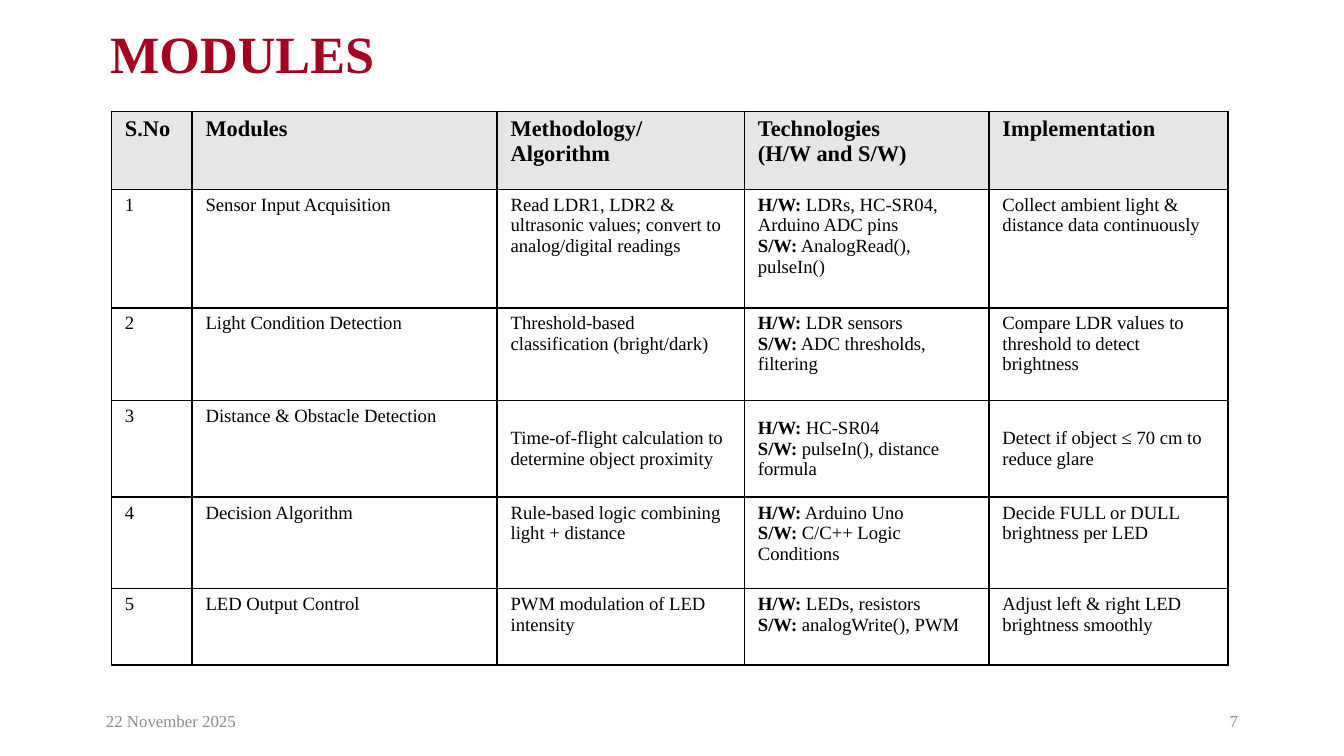
from dataclasses import dataclass

from lxml import etree
from pptx import Presentation
from pptx.dml.color import RGBColor
from pptx.enum import text
from pptx.oxml import ns
from pptx.util import Inches, Pt

FONT = "Times New Roman"
COLORS = {"title": "A50021", "ink": "000000", "footer": "8C8C8C", "header": "E7E6E6"}
COLUMN_WIDTHS = [0.6, 2.27, 1.84, 1.82, 1.78]
ROW_HEIGHTS = [0.58, 0.88, 0.69, 0.72, 0.68, 0.57]
HEADERS = ["S.No", "Modules", "Methodology/\nAlgorithm",
           "Technologies\n(H/W and S/W)", "Implementation"]


@dataclass
class Module:
    name: str
    method: str
    hardware: str
    software: str
    implementation: str
    centered: bool = False


MODULES = [
    Module("Sensor Input Acquisition",
           "Read LDR1, LDR2 & ultrasonic values; convert to analog/digital readings",
           "LDRs, HC-SR04, Arduino ADC pins", "AnalogRead(), pulseIn()",
           "Collect ambient light & distance data continuously"),
    Module("Light Condition Detection", "Threshold-based classification (bright/dark)",
           "LDR sensors", "ADC thresholds, filtering",
           "Compare LDR values to threshold to detect brightness"),
    Module("Distance & Obstacle Detection",
           "Time-of-flight calculation to determine object proximity",
           "HC-SR04", "pulseIn(), distance formula",
           "Detect if object ≤ 70 cm to reduce glare", centered=True),
    Module("Decision Algorithm", "Rule-based logic combining light + distance",
           "Arduino Uno", "C/C++ Logic Conditions",
           "Decide FULL or DULL brightness per LED"),
    Module("LED Output Control", "PWM modulation of LED intensity",
           "LEDs, resistors", "analogWrite(), PWM",
           "Adjust left & right LED brightness smoothly"),
]


def style_font(font, size: float, color: str, bold=None) -> None:
    font.name, font.size, font.bold = FONT, Pt(size), bold
    font.color.rgb = RGBColor.from_string(COLORS[color])


def add_borders(cell) -> None:
    properties = cell._tc.get_or_add_tcPr()
    for side in ("lnL", "lnR", "lnT", "lnB"):
        line = etree.SubElement(properties, ns.qn(f"a:{side}"), w=str(Pt(1)))
        fill = etree.SubElement(line, ns.qn("a:solidFill"))
        etree.SubElement(fill, ns.qn("a:srgbClr"), val=COLORS["ink"])


def format_cell(cell, column: int, size: float, bold=None) -> None:
    add_borders(cell)
    cell.margin_left = cell.margin_right = Inches(0.1)
    cell.margin_top = cell.margin_bottom = Inches(0.04)
    for paragraph in cell.text_frame.paragraphs:
        style_font(paragraph.font, size, "ink", bold)
        paragraph.alignment = (text.PP_ALIGN.JUSTIFY if column < 2
                               else text.PP_ALIGN.LEFT)


def write_technologies(cell, module: Module) -> None:
    paragraph = cell.text_frame.paragraphs[0]
    for label, value in (("H/W:", module.hardware), ("S/W:", module.software)):
        if paragraph.runs:
            paragraph.add_line_break()
        run = paragraph.add_run()
        run.text, run.font.bold = label, True
        paragraph.add_run().text = f" {value}"


def add_footer(slide, left: float, content: str, alignment) -> None:
    box = slide.shapes.add_textbox(Inches(left), Inches(5.21), Inches(2.25), Inches(0.3))
    frame = box.text_frame
    frame.word_wrap = True
    frame.vertical_anchor = text.MSO_ANCHOR.MIDDLE
    frame.text = content
    frame.paragraphs[0].alignment = alignment
    style_font(frame.paragraphs[0].font, 9, "footer")


# Widescreen 16:9 slide
presentation = Presentation()
presentation.slide_width = Inches(10)
presentation.slide_height = Inches(10) * 9 // 16
slide = presentation.slides.add_slide(presentation.slide_layouts[5])

# Title
title = slide.shapes.title
title.left, title.top = Inches(0.72), Inches(0.14)
title.width, title.height = Inches(6.65), Inches(0.47)
title.text_frame.text = "MODULES"
title.text_frame.auto_size = text.MSO_AUTO_SIZE.NONE
title.text_frame.vertical_anchor = text.MSO_ANCHOR.MIDDLE
heading = title.text_frame.paragraphs[0]
heading.alignment = text.PP_ALIGN.LEFT
heading.line_spacing, heading.space_after = 1.07, Pt(4.5)
style_font(heading.font, 28, "title", True)

# Table grid
table = slide.shapes.add_table(
    len(ROW_HEIGHTS), len(COLUMN_WIDTHS), Inches(0.83), Inches(0.83),
    Inches(sum(COLUMN_WIDTHS)), Inches(sum(ROW_HEIGHTS))).table
for column, width in zip(table.columns, COLUMN_WIDTHS):
    column.width = Inches(width)
for row, height in zip(table.rows, ROW_HEIGHTS):
    row.height = Inches(height)

# Header row
for index, header in enumerate(HEADERS):
    cell = table.cell(0, index)
    cell.text = header
    format_cell(cell, index, 12, True)
    cell.fill.solid()
    cell.fill.fore_color.rgb = RGBColor.from_string(COLORS["header"])

# Module rows
for number, module in enumerate(MODULES, start=1):
    values = [str(number), module.name, module.method, None, module.implementation]
    for index, value in enumerate(values):
        cell = table.cell(number, index)
        if value is None:
            write_technologies(cell, module)
        else:
            cell.text = value
        format_cell(cell, index, 10, False)
        cell.fill.background()
        if module.centered and index >= 2:
            cell.vertical_anchor = text.MSO_ANCHOR.MIDDLE

# Footer
add_footer(slide, 0.69, "22 November 2025", text.PP_ALIGN.LEFT)
add_footer(slide, 7.06, "7", text.PP_ALIGN.RIGHT)

presentation.save("out.pptx")
